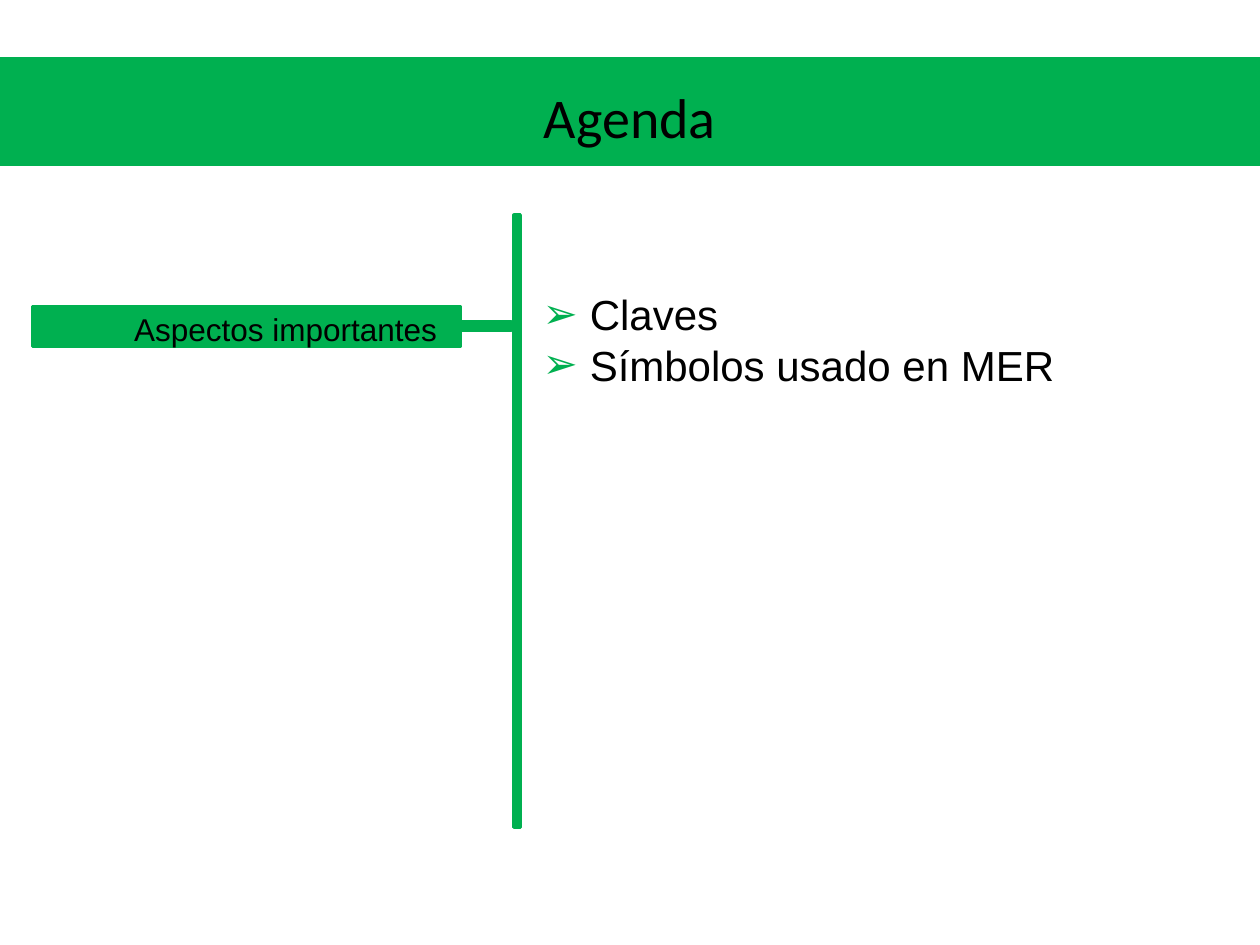
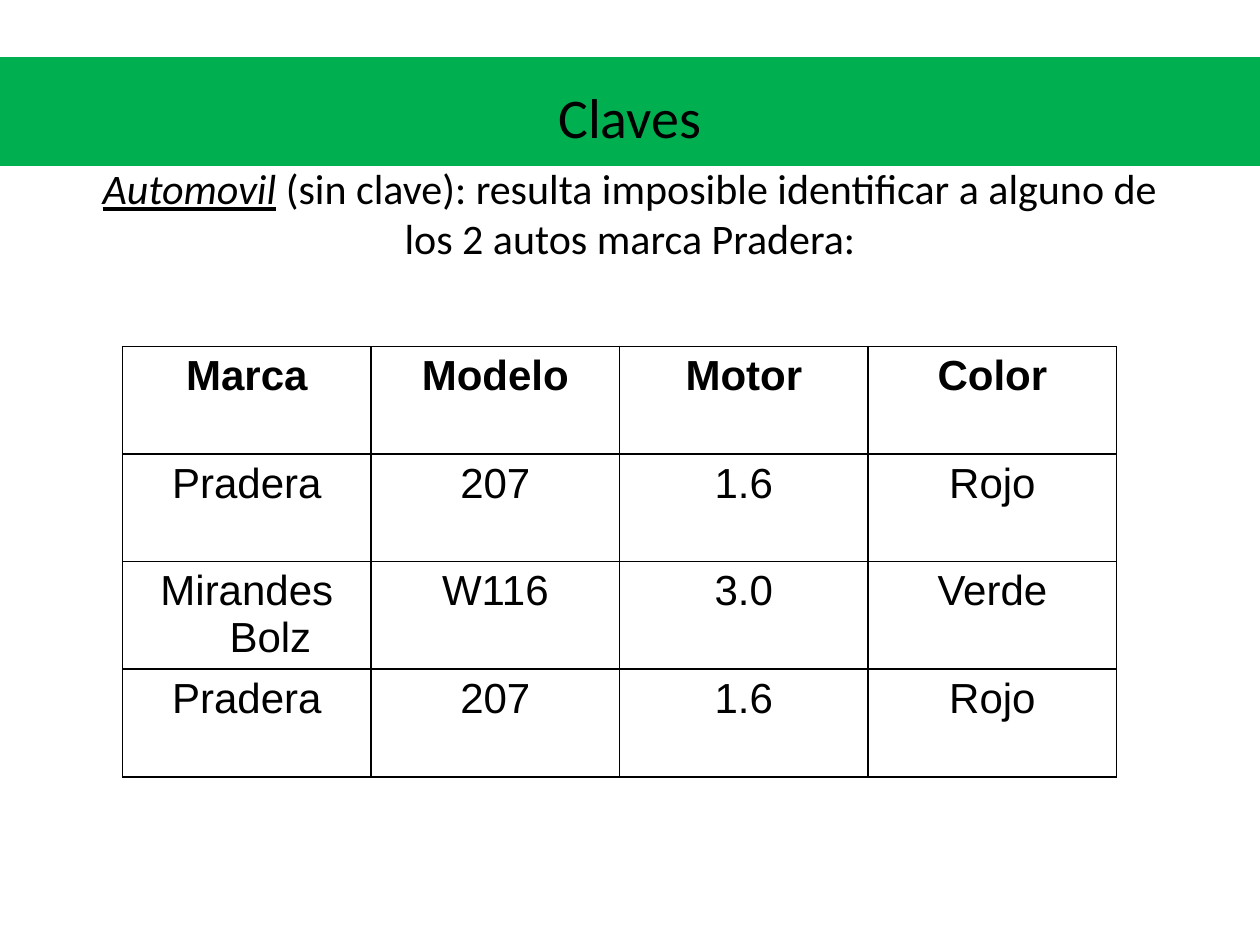
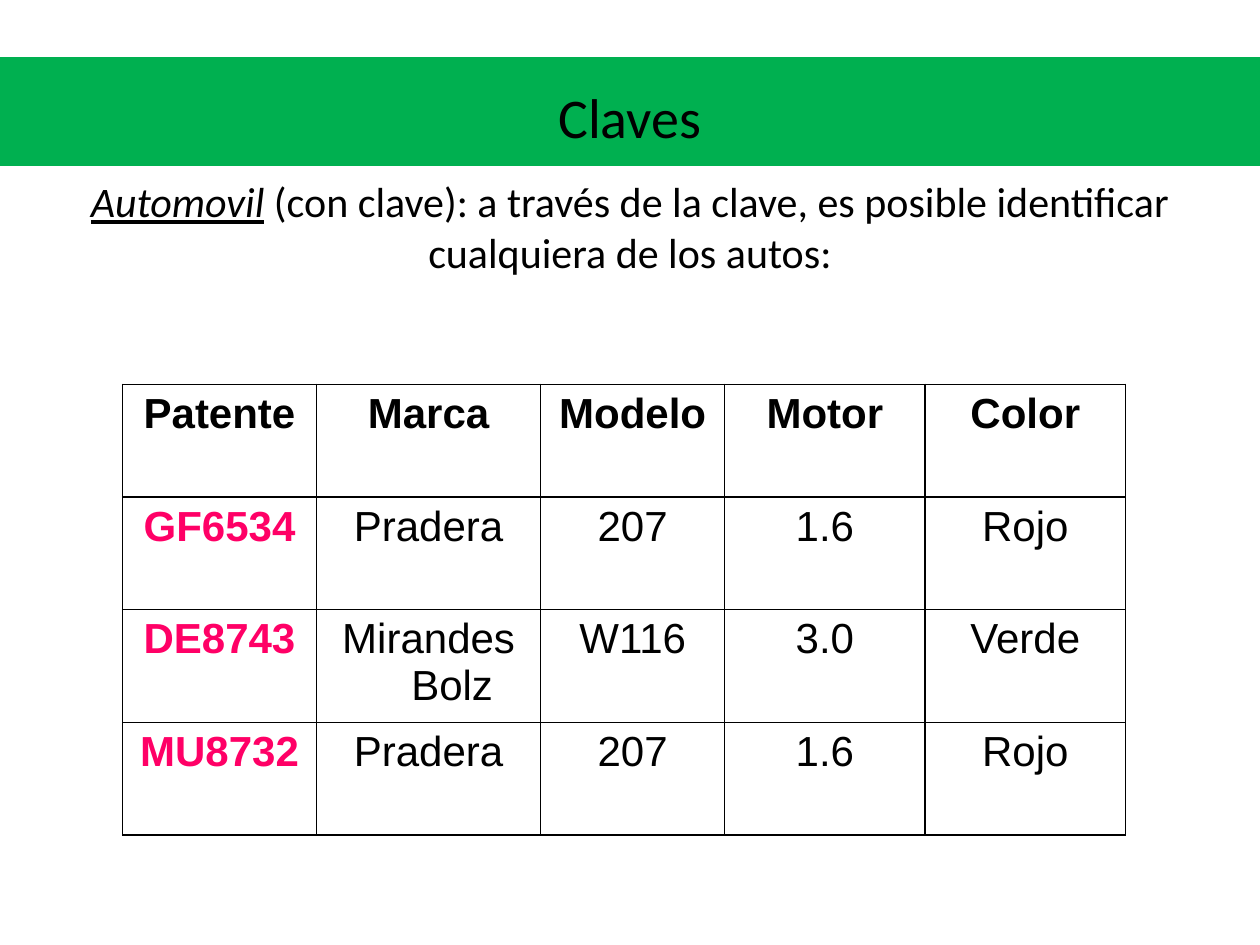
from dataclasses import dataclass

from lxml.etree import SubElement
from pptx import Presentation
from pptx.dml.color import RGBColor
from pptx.enum.shapes import MSO_SHAPE
from pptx.enum.text import MSO_ANCHOR, PP_ALIGN
from pptx.oxml.ns import qn
from pptx.presentation import Presentation as Deck
from pptx.slide import Slide
from pptx.table import _Cell
from pptx.text.text import TextFrame, _Paragraph
from pptx.util import Cm, Pt

GREEN = RGBColor(0x00, 0xB0, 0x50)
BLACK = RGBColor(0x00, 0x00, 0x00)
PINK = RGBColor(0xFF, 0x00, 0x66)
HEADING_FONT = "Calibri"
BODY_FONT = "Arial"
HANGING_INDENT = Cm(0.95)
BORDER_WIDTH = Pt(1)
TABLE_LEFT = 2.47


@dataclass(frozen=True)
class Box:
    left: float
    top: float
    width: float
    height: float

    def lengths(self) -> tuple[Cm, Cm, Cm, Cm]:
        return Cm(self.left), Cm(self.top), Cm(self.width), Cm(self.height)


@dataclass(frozen=True)
class KeySlide:
    explanation: str
    explanation_top: float
    table_top: float
    column_widths: list[float]
    row_height: float
    rows: list[list[str]]
    key_column: int | None = None


TITLE_BAND = Box(0, 1.19, 25.4, 2.13)
TITLE_BOX = Box(1.27, 0.76, 22.86, 3.18)
LABEL_BAR = Box(0.66, 6.18, 8.61, 0.81)
LABEL_LINK = Box(9.22, 6.48, 1.09, 0.18)
LABEL_BOX = Box(0.42, 6.12, 8.64, 1.02)
TOPICS_BOX = Box(10.69, 5.7, 14.15, 2.31)
DIVIDER = Box(10.36, 4.34, 0.13, 12.34)

TOPICS = ["Claves", "Símbolos usado en MER"]
CAR_ROWS = [
    ["Marca", "Modelo", "Motor", "Color"],
    ["Pradera", "207", "1.6", "Rojo"],
    ["Mirandes Bolz", "W116", "3.0", "Verde"],
    ["Pradera", "207", "1.6", "Rojo"],
]
PLATES = ["Patente", "GF6534", "DE8743", "MU8732"]

KEY_SLIDES = [
    KeySlide(
        " (sin clave): resulta imposible identificar a alguno de los 2 autos marca Pradera:",
        2.7, 6.98, [5.01] * 4, 2.17, CAR_ROWS,
    ),
    KeySlide(
        " (con clave): a través de la clave, es posible identificar cualquiera de los autos:",
        2.97, 7.75, [3.91, 4.52, 3.71, 4.04, 4.04], 2.27,
        [[plate, *row] for plate, row in zip(PLATES, CAR_ROWS)],
        key_column=0,
    ),
]


def add_bar(slide: Slide, box: Box) -> None:
    shape = slide.shapes.add_shape(MSO_SHAPE.RECTANGLE, *box.lengths())
    shape.shadow.inherit = False
    shape.fill.solid()
    shape.fill.fore_color.rgb = GREEN
    shape.line.color.rgb = GREEN
    shape.line.width = Pt(2)


def add_text_frame(slide: Slide, box: Box, anchor: MSO_ANCHOR = MSO_ANCHOR.TOP) -> TextFrame:
    text_frame = slide.shapes.add_textbox(*box.lengths()).text_frame
    text_frame.word_wrap = True
    text_frame.vertical_anchor = anchor
    return text_frame


def style_paragraph(paragraph: _Paragraph, name: str, size: float, alignment: PP_ALIGN,
                    color: RGBColor = BLACK, bold: bool = False) -> None:
    paragraph.alignment = alignment
    paragraph.font.name = name
    paragraph.font.size = Pt(size)
    paragraph.font.color.rgb = color
    paragraph.font.bold = bold


def hang(paragraph: _Paragraph) -> None:
    properties = paragraph._p.get_or_add_pPr()
    properties.set("marL", str(HANGING_INDENT))
    properties.set("indent", str(-HANGING_INDENT))


def add_bullet(paragraph: _Paragraph) -> None:
    properties = paragraph._p.get_or_add_pPr()
    color = SubElement(properties, qn("a:buClr"))
    SubElement(color, qn("a:srgbClr"), val=str(GREEN))
    SubElement(properties, qn("a:buFont"), typeface=BODY_FONT)
    SubElement(properties, qn("a:buChar"), char="➢")


def add_title(slide: Slide, title: str) -> None:
    add_bar(slide, TITLE_BAND)
    paragraph = add_text_frame(slide, TITLE_BOX, MSO_ANCHOR.MIDDLE).paragraphs[0]
    paragraph.text = title
    style_paragraph(paragraph, HEADING_FONT, 32, PP_ALIGN.CENTER)


def add_borders(cell: _Cell) -> None:
    properties = cell._tc.get_or_add_tcPr()
    for side in ("lnL", "lnR", "lnT", "lnB"):
        line = SubElement(properties, qn(f"a:{side}"), w=str(BORDER_WIDTH))
        fill = SubElement(line, qn("a:solidFill"))
        SubElement(fill, qn("a:srgbClr"), val=str(BLACK))


def add_car_table(slide: Slide, content: KeySlide) -> None:
    rows, widths = content.rows, content.column_widths
    box = Box(TABLE_LEFT, content.table_top, sum(widths), content.row_height * len(rows))
    table = slide.shapes.add_table(len(rows), len(widths), *box.lengths()).table
    table.first_row = False
    table.horz_banding = False
    for column, width in zip(table.columns, widths):
        column.width = Cm(width)
    for row_index, row in enumerate(rows):
        table.rows[row_index].height = Cm(content.row_height)
        for column_index, text in enumerate(row):
            cell = table.cell(row_index, column_index)
            add_borders(cell)
            cell.fill.background()
            cell.margin_bottom = Cm(0)
            is_header = row_index == 0
            is_key = column_index == content.key_column
            paragraph = cell.text_frame.paragraphs[0]
            paragraph.text = text
            hang(paragraph)
            style_paragraph(paragraph, BODY_FONT, 24, PP_ALIGN.CENTER,
                            PINK if is_key and not is_header else BLACK,
                            is_header or is_key)


def add_slide(presentation: Deck) -> Slide:
    return presentation.slides.add_slide(presentation.slide_layouts[6])


def build_agenda(presentation: Deck) -> None:
    slide = add_slide(presentation)
    add_bar(slide, LABEL_BAR)
    add_bar(slide, LABEL_LINK)
    add_title(slide, "Agenda")
    topics_frame = add_text_frame(slide, TOPICS_BOX)
    for index, topic in enumerate(TOPICS):
        paragraph = topics_frame.add_paragraph() if index else topics_frame.paragraphs[0]
        paragraph.text = topic
        hang(paragraph)
        add_bullet(paragraph)
        style_paragraph(paragraph, BODY_FONT, 24, PP_ALIGN.LEFT)
    label = add_text_frame(slide, LABEL_BOX).paragraphs[0]
    label.text = "Aspectos importantes"
    hang(label)
    style_paragraph(label, BODY_FONT, 18, PP_ALIGN.RIGHT)
    add_bar(slide, DIVIDER)


def build_key_slide(presentation: Deck, content: KeySlide) -> None:
    slide = add_slide(presentation)
    add_title(slide, "Claves")
    box = Box(TITLE_BOX.left, content.explanation_top, TITLE_BOX.width, TITLE_BOX.height)
    paragraph = add_text_frame(slide, box, MSO_ANCHOR.MIDDLE).paragraphs[0]
    style_paragraph(paragraph, HEADING_FONT, 24, PP_ALIGN.CENTER)
    entity = paragraph.add_run()
    entity.text = "Automovil"
    entity.font.italic = True
    entity.font.underline = True
    paragraph.add_run().text = content.explanation
    add_car_table(slide, content)


def main() -> None:
    presentation = Presentation()
    presentation.slide_width = Cm(25.4)
    presentation.slide_height = Cm(19.05)
    build_agenda(presentation)
    for content in KEY_SLIDES:
        build_key_slide(presentation, content)
    presentation.save("out.pptx")


main()
